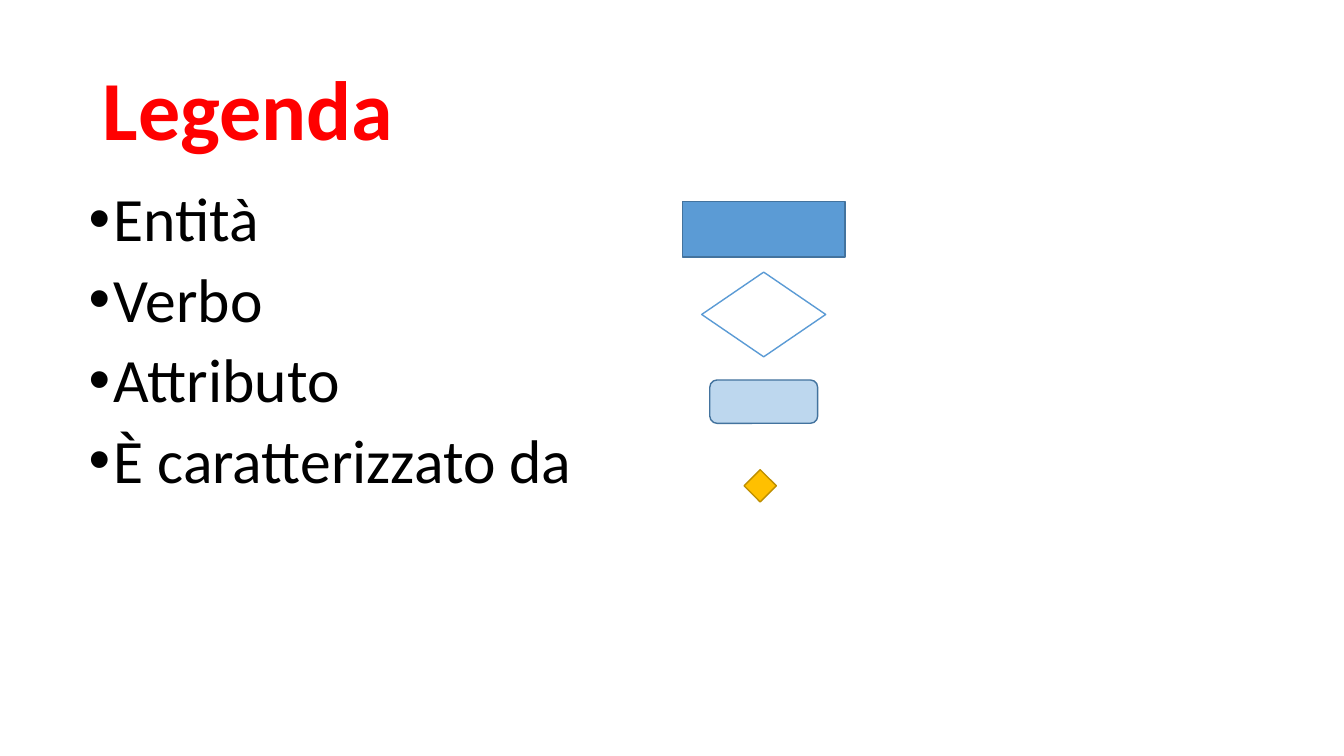
from dataclasses import dataclass

from lxml.etree import SubElement
from pptx import Presentation
from pptx.dml.color import RGBColor
from pptx.enum.shapes import MSO_SHAPE
from pptx.enum.text import MSO_ANCHOR
from pptx.oxml.ns import qn
from pptx.util import Inches, Pt


@dataclass(frozen=True)
class Theme:
    """Colours and type sizes of the slide."""

    font: str = "Calibri"
    title_size: int = 60
    body_size: int = 44
    title: str = "FF0000"
    text: str = "000000"
    white: str = "FFFFFF"
    blue: str = "5B9BD5"
    dark_blue: str = "43739E"
    light_blue: str = "BDD7EE"
    gold: str = "FFC000"
    dark_gold: str = "BD8E00"


class LegendSlide:
    """Draws the elements of the legend on one slide."""

    def __init__(self, slide, theme):
        """Keep the slide and its style."""
        self.slide = slide
        self.theme = theme

    def text_frame(self, box, anchor):
        """Add a wrapping text box and return its frame."""
        frame = self.slide.shapes.add_textbox(*map(Inches, box)).text_frame
        frame.word_wrap = True
        frame.vertical_anchor = anchor
        return frame

    def style(self, paragraph, size, color, bold=False):
        """Set the font and line spacing of a paragraph."""
        paragraph.line_spacing = 0.9
        paragraph.font.name = self.theme.font
        paragraph.font.size = Pt(size)
        paragraph.font.bold = bold
        paragraph.font.color.rgb = RGBColor.from_string(color)

    def title(self, text, box):
        """Add the slide title."""
        paragraph = self.text_frame(box, MSO_ANCHOR.MIDDLE).paragraphs[0]
        paragraph.text = text
        self.style(paragraph, self.theme.title_size, self.theme.title, bold=True)

    def bullets(self, items, box):
        """Add a bulleted list."""
        frame = self.text_frame(box, MSO_ANCHOR.TOP)
        frame.text = "\n".join(items)
        for paragraph in frame.paragraphs:
            self.style(paragraph, self.theme.body_size, self.theme.text)
            paragraph.space_before = Pt(10)
            properties = paragraph._p.get_or_add_pPr()
            properties.set("marL", str(Inches(0.25)))
            properties.set("indent", str(-Inches(0.25)))
            bullet_font = SubElement(properties, qn("a:buFont"))
            bullet_font.set("typeface", "Arial")
            bullet = SubElement(properties, qn("a:buChar"))
            bullet.set("char", "•")
            properties.append(properties.find(qn("a:defRPr")))

    def symbol(self, kind, box, fill, line):
        """Add a filled and outlined legend symbol."""
        shape = self.slide.shapes.add_shape(kind, *map(Inches, box))
        shape.shadow.inherit = False
        shape.fill.solid()
        shape.fill.fore_color.rgb = RGBColor.from_string(fill)
        shape.line.color.rgb = RGBColor.from_string(line)
        shape.line.width = Pt(1)


def main():
    """Build the legend slide and save it."""
    presentation = Presentation()
    presentation.slide_width = Inches(13.33)
    presentation.slide_height = Inches(7.5)
    theme = Theme()
    slide = presentation.slides.add_slide(presentation.slide_layouts[6])
    legend = LegendSlide(slide, theme)

    legend.title("Legenda", (0.92, 0.4, 11.5, 1.45))
    legend.bullets(
        ["Entità", "Verbo", "Attributo", "È caratterizzato da"],
        (0.78, 1.82, 11.5, 4.76),
    )
    symbols = [
        (MSO_SHAPE.RECTANGLE, (6.77, 2, 1.61, 0.55), theme.blue, theme.dark_blue),
        (MSO_SHAPE.DIAMOND, (6.96, 2.7, 1.23, 0.84), theme.white, theme.blue),
        (MSO_SHAPE.ROUNDED_RECTANGLE, (7.04, 3.77, 1.07, 0.43), theme.light_blue, theme.dark_blue),
        (MSO_SHAPE.DIAMOND, (7.38, 4.66, 0.32, 0.32), theme.gold, theme.dark_gold),
    ]
    for symbol in symbols:
        legend.symbol(*symbol)

    presentation.save("out.pptx")


if __name__ == "__main__":
    main()
